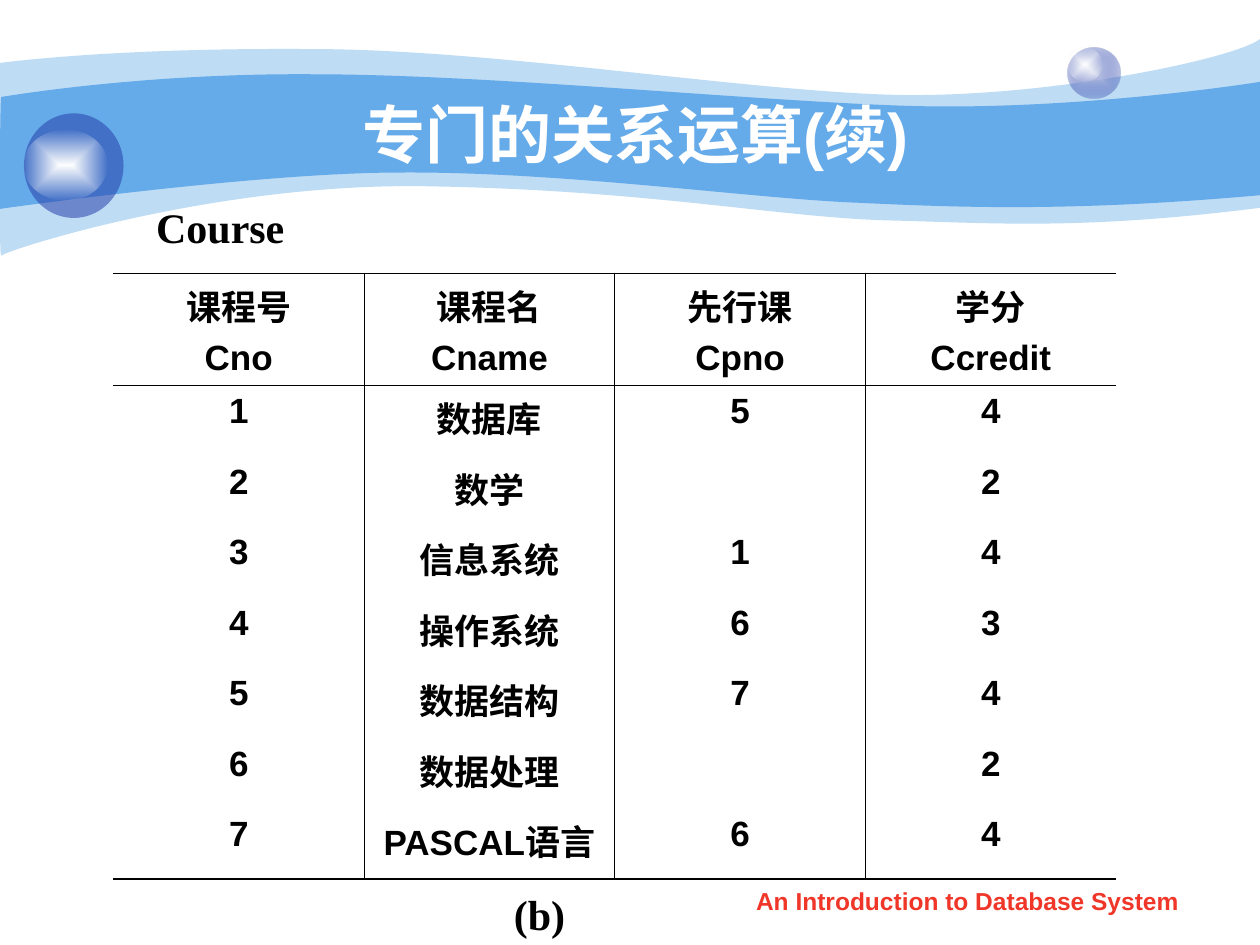
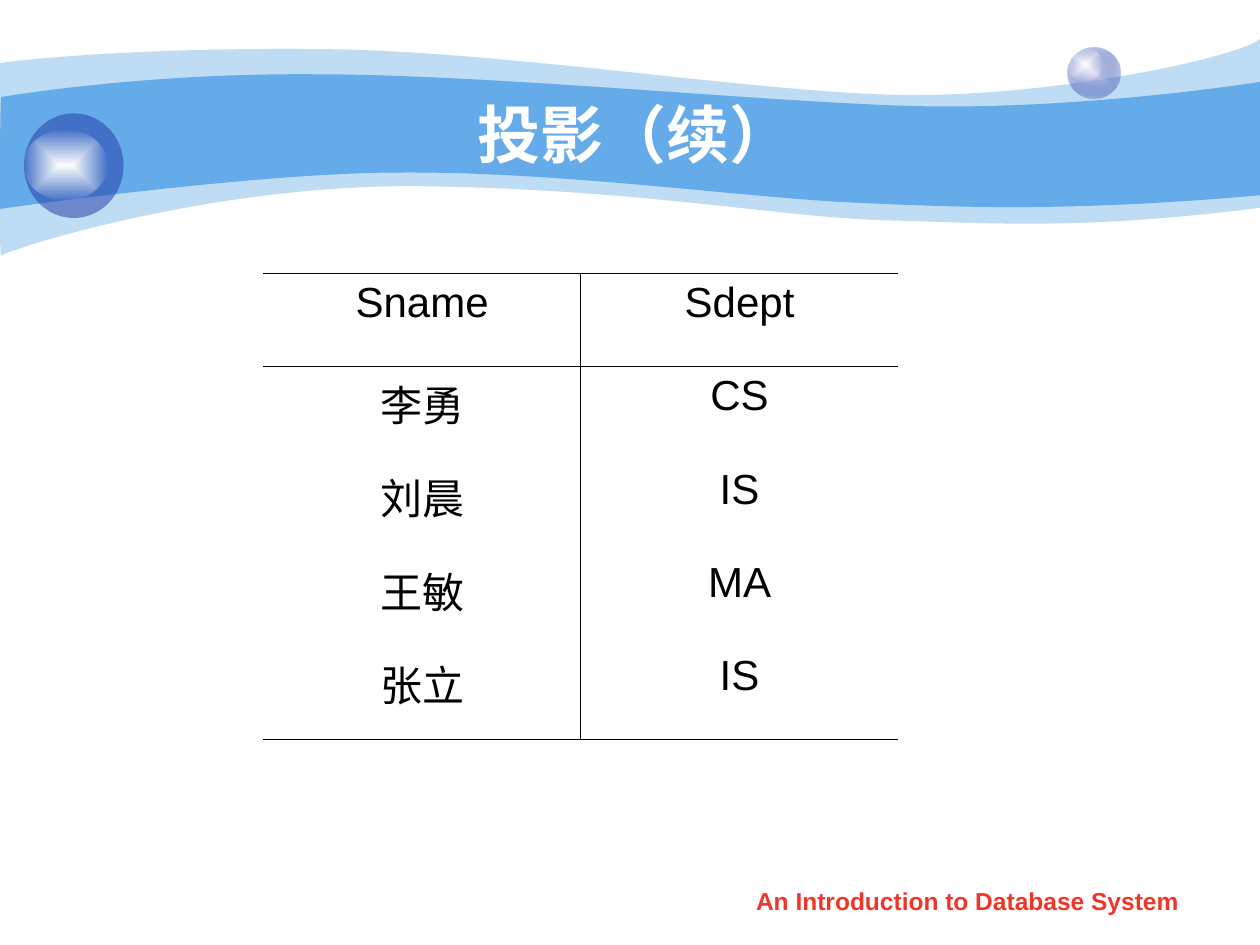
from lxml import etree
from pptx import Presentation
from pptx.dml.color import RGBColor
from pptx.enum.shapes import MSO_SHAPE
from pptx.enum.text import MSO_ANCHOR, MSO_AUTO_SIZE, PP_ALIGN
from pptx.oxml.ns import qn
from pptx.util import Pt

EMU_PER_PX = 9144
ELLIPSE = MSO_SHAPE.OVAL
LEFT, CENTER = PP_ALIGN.LEFT, PP_ALIGN.CENTER
TOP, MIDDLE = MSO_ANCHOR.TOP, MSO_ANCHOR.MIDDLE
FIT_SHAPE = MSO_AUTO_SIZE.SHAPE_TO_FIT_TEXT

SKY, NAVY, PALE = "65AAE9", "233DA9", "C6CCE8"
WHITE, CLEAR, BLACK, RED = "FFFFFF", "FEFEFE", "000000", "F03628"
GLINT = [(WHITE, 100), (CLEAR, 0)]
NO_STYLE = "{2D5ABB26-0587-4C30-8999-92F81FD0307C}"
THICK, THIN = 1.08, 0.45

TITLE = {"name": "Arial", "size": 36, "bold": True, "color": WHITE}
FOOTER = {"name": "Arial", "size": 14, "bold": True, "color": RED}
CAPTION = {"name": "Times New Roman", "size": 24, "bold": True, "color": BLACK}
COURSE_CELL = {"name": "Arial", "size": 20, "bold": True, "color": BLACK}
STUDENT_CELL = {"name": "Arial", "size": 24, "bold": False, "color": BLACK}

OUTER_WAVE = [
    [(0, 50)],
    [(24, 47), (107, 38), (247, 39)],
    [(386, 39), (575, 70), (699, 75)],
    [(822, 80), (980, 47), (1000, 31)],
    [(1000, 165)],
    [(858, 183), (787, 177), (705, 175)],
    [(622, 173), (515, 151), (343, 148)],
    [(172, 144), (4, 199), (1, 203)],
    [(-1, 208), (0, 75), (0, 50)],
]
INNER_WAVE = [
    [(1, 77)],
    [(2, 77), (110, 58), (248, 59)],
    [(386, 59), (595, 80), (718, 84)],
    [(841, 88), (976, 69), (1000, 65)],
    [(1000, 155)],
    [(853, 168), (765, 165), (682, 161)],
    [(599, 158), (447, 136), (317, 137)],
    [(203, 137), (-2, 166), (-1, 166)],
    [(0, 166), (0, 77), (1, 77)],
]

COURSES = [
    ["课程号\nCno", "课程名\nCname", "先行课\nCpno", "学分\nCcredit"],
    ["1", "数据库", "5", "4"],
    ["2", "数学", "", "2"],
    ["3", "信息系统", "1", "4"],
    ["4", "操作系统", "6", "3"],
    ["5", "数据结构", "7", "4"],
    ["6", "数据处理", "", "2"],
    ["7", "PASCAL语言", "6", "4"],
]
STUDENTS = [
    ["Sname", "Sdept"],
    ["李勇", "CS"],
    ["刘晨", "IS"],
    ["王敏", "MA"],
    ["张立", "IS"],
]


def emu(*lengths):
    """Turn px lengths into a list of EMU."""
    return [round(length * EMU_PER_PX) for length in lengths]


def rgb(value):
    """Return the colour of a hex string."""
    return RGBColor.from_string(value)


def apply_format(font, style):
    """Set the font attributes named in a style."""
    for key, value in style.items():
        if key == "color":
            font.color.rgb = rgb(value)
        else:
            setattr(font, key, Pt(value) if key == "size" else value)


def paint(shape, stops):
    """Fill a shape with one colour, or a centred gradient of two, given (hex, opacity) pairs."""
    shape.shadow.inherit = False
    shape.line.fill.background()
    if len(stops) == 1:
        shape.fill.solid()
        shape.fill.fore_color.rgb = rgb(stops[0][0])
    else:
        shape.fill.gradient()
        for stop, (value, _) in zip(shape.fill.gradient_stops, stops):
            stop.color.rgb = rgb(value)
        gradient = shape.element.spPr.find(qn("a:gradFill"))
        gradient.remove(gradient.find(qn("a:lin")))
        shade = etree.SubElement(gradient, qn("a:path"), {"path": "rect"})
        sides = {side: "50000" for side in "ltrb"}
        etree.SubElement(shade, qn("a:fillToRect"), sides)
    colors = list(shape.element.spPr.iter(qn("a:srgbClr")))
    for color, (_, opacity) in zip(colors, stops):
        if opacity < 100:
            etree.SubElement(color, qn("a:alpha"), {"val": str(opacity * 1000)})


def add_wave(page, segments, opacity):
    """Draw a closed wave, bending each run of three points into one cubic curve."""
    start, *points = [emu(*point) for segment in segments for point in segment]
    builder = page.shapes.build_freeform(*start, scale=1.0)
    builder.add_line_segments(points, close=True)
    wave = builder.convert_to_shape()
    lines = iter(list(wave.element.iter(qn("a:lnTo"))))
    for segment in segments[1:]:
        steps = [next(lines) for _ in segment]
        if len(steps) == 3:
            curve = etree.Element(qn("a:cubicBezTo"))
            steps[0].addprevious(curve)
            for step in steps:
                curve.append(step[0])
                step.getparent().remove(step)
    paint(wave, [(SKY, opacity)])


def add_ball(page, box, stops, glint):
    """Draw a ball in a box, with a glint placed relative to it."""
    left, top, width, height = box
    dx, dy, glint_width, glint_height = glint
    group = page.shapes.add_group_shape()
    ball = group.shapes.add_shape(ELLIPSE, *emu(left, top, width, height))
    paint(ball, stops)
    shine = group.shapes.add_shape(
        ELLIPSE, *emu(left + dx, top + dy, glint_width, glint_height))
    paint(shine, GLINT)


def add_text(page, box, text, style, align=CENTER, anchor=TOP, wrap=True):
    """Place one line of styled text in a box."""
    frame = page.shapes.add_textbox(*emu(*box)).text_frame
    frame.word_wrap = wrap
    frame.vertical_anchor = anchor
    if not wrap:
        frame.auto_size = FIT_SHAPE
    para = frame.paragraphs[0]
    para.alignment = align
    span = para.add_run()
    span.text = text
    apply_format(span.font, style)


def set_borders(cell, widths):
    """Draw the left, right, top and bottom borders of a cell; zero means none."""
    properties = cell._tc.get_or_add_tcPr()
    for side, width in zip("LRTB", widths):
        line = etree.SubElement(properties, qn(f"a:ln{side}"), {"w": str(Pt(width))})
        if width:
            fill = etree.SubElement(line, qn("a:solidFill"))
            etree.SubElement(fill, qn("a:srgbClr"), {"val": BLACK})
        else:
            etree.SubElement(line, qn("a:noFill"))


def fill_cell(cell, text, style):
    """Write centred lines into an unfilled cell."""
    cell.fill.background()
    cell.text = text
    for index, para in enumerate(cell.text_frame.paragraphs):
        para.alignment = CENTER
        if index:
            para.space_before = Pt(5)
        for span in para.runs:
            apply_format(span.font, style)


def add_relation(page, box, records, header_height, style):
    """Draw a relation with equal columns and equal rows below its header."""
    height = box[3]
    last_row, last_column = len(records) - 1, len(records[0]) - 1
    table = page.shapes.add_table(last_row + 1, last_column + 1, *emu(*box)).table
    table.first_row = table.horz_banding = False
    table._tbl.tblPr.find(qn("a:tableStyleId")).text = NO_STYLE
    for index, row in enumerate(table.rows):
        row_height = (height - header_height) / last_row if index else header_height
        row.height = emu(row_height)[0]
    for y, record in enumerate(records):
        for x, text in enumerate(record):
            cell = table.cell(y, x)
            set_borders(cell, (
                THIN if x else 0,
                THIN if x < last_column else 0,
                {0: THICK, 1: THIN}.get(y, 0),
                {0: THIN, last_row: THICK}.get(y, 0),
            ))
            fill_cell(cell, text, style)


def add_page(deck, title):
    """Add a blank page with the wave band, balls, title and footer."""
    page = deck.slides.add_slide(deck.slide_layouts[6])
    add_wave(page, OUTER_WAVE, 41)
    add_wave(page, INNER_WAVE, 100)
    add_ball(page, (847, 38, 42, 40), [(PALE, 100), (NAVY, 31)], (0, 0, 28, 27))
    add_ball(page, (19, 90, 79, 83), [(NAVY, 53)], (0, 13, 66, 56))
    add_text(page, (100, 75, 808, 62), title, TITLE, anchor=MIDDLE)
    add_text(page, (571, 698, 394, 35), "An Introduction to Database System", FOOTER)
    return page


def add_course_page(deck):
    """Show the Course relation with its name and label."""
    page = add_page(deck, "专门的关系运算(续)")
    add_relation(page, (90, 217, 796, 481), COURSES, 89, COURSE_CELL)
    add_text(page, (114, 155, 122, 50), "Course", CAPTION, LEFT, wrap=False)
    add_text(page, (398, 700, 61, 50), "(b)", CAPTION, LEFT, wrap=False)


def add_projection_page(deck):
    """Show the projection on student name and department."""
    page = add_page(deck, "投影（续）")
    add_relation(page, (209, 217, 504, 370), STUDENTS, 74, STUDENT_CELL)


def main():
    """Build and save the deck."""
    deck = Presentation()
    deck.slide_width, deck.slide_height = emu(1000, 750)
    add_course_page(deck)
    add_projection_page(deck)
    deck.save("out.pptx")


if __name__ == "__main__":
    main()
